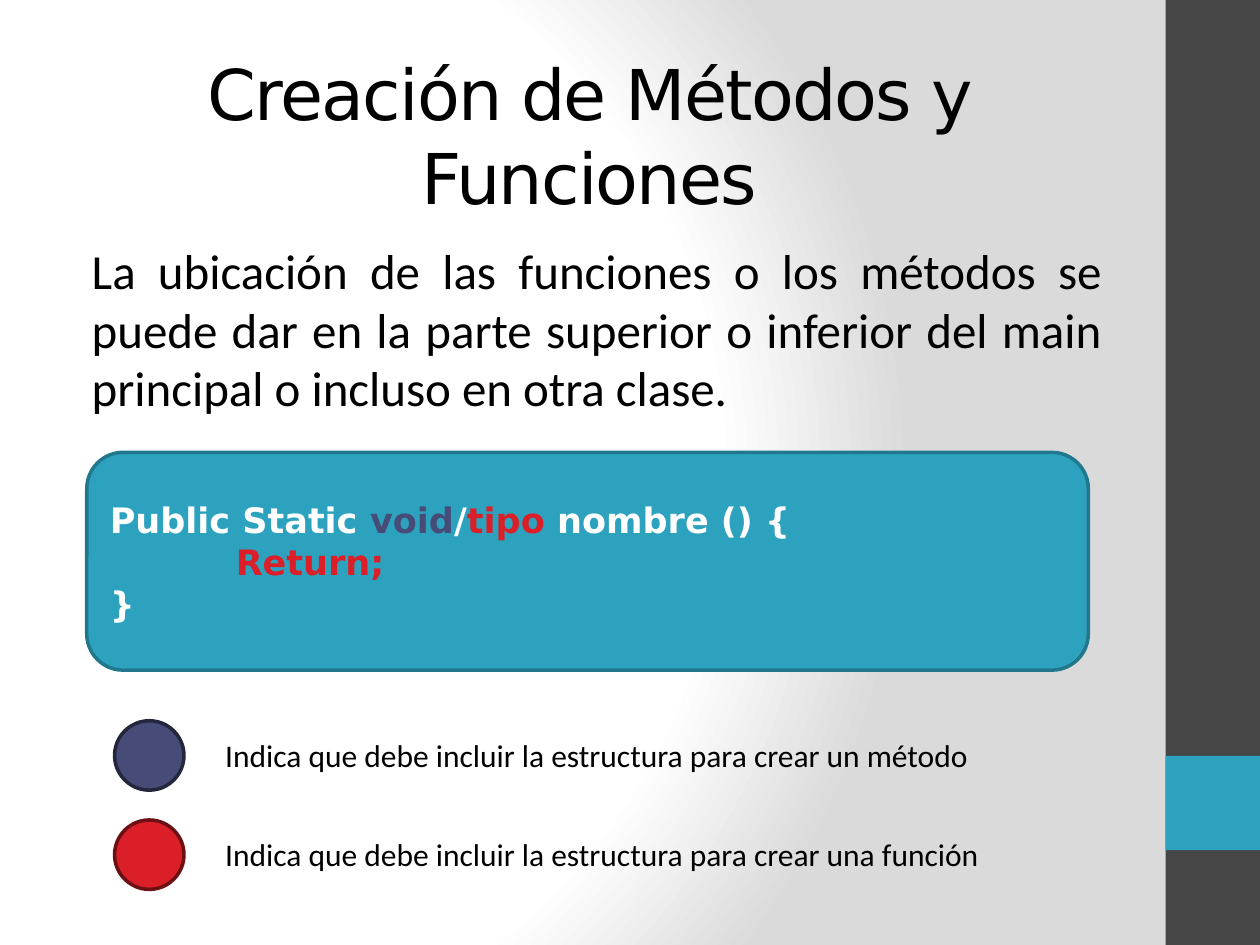
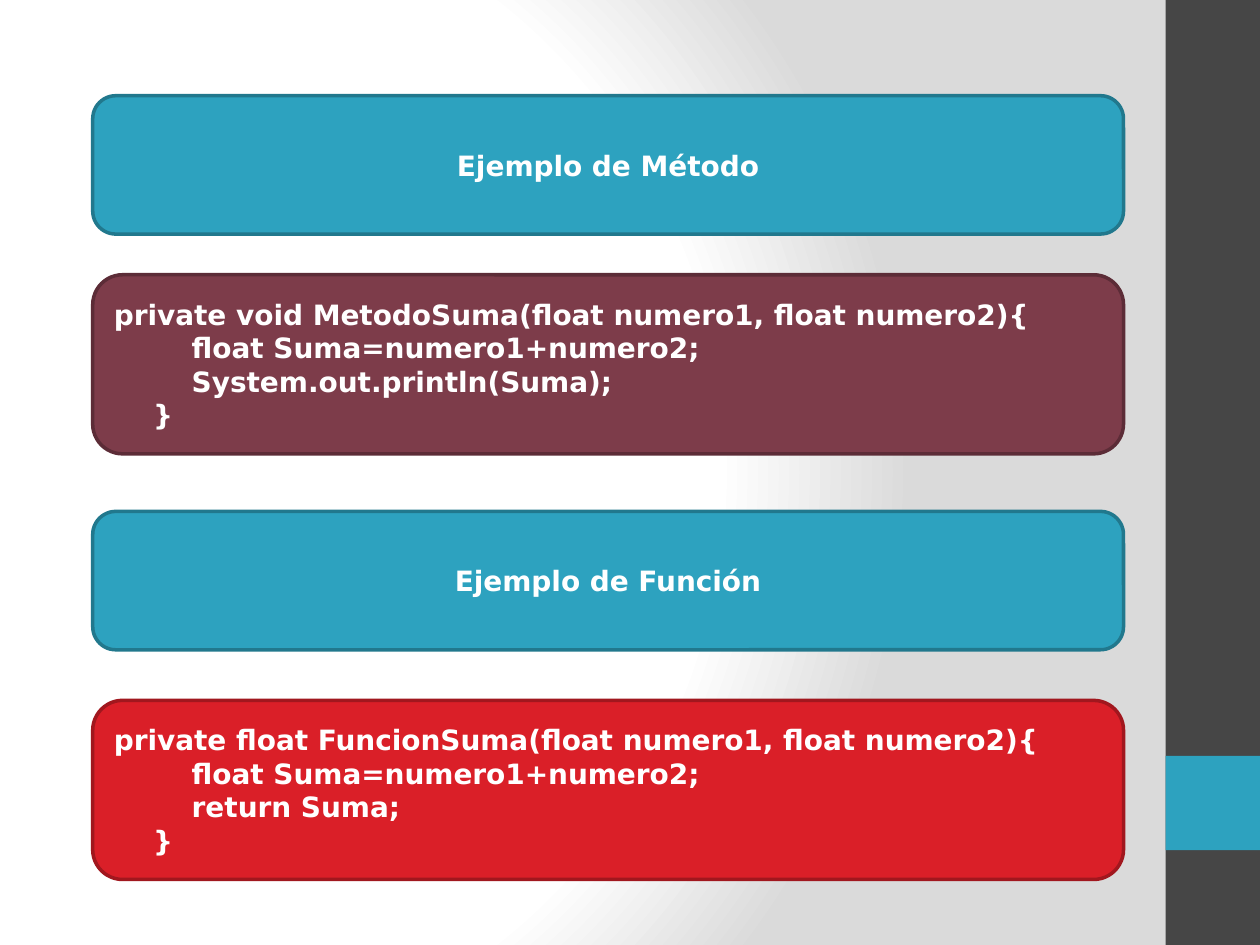
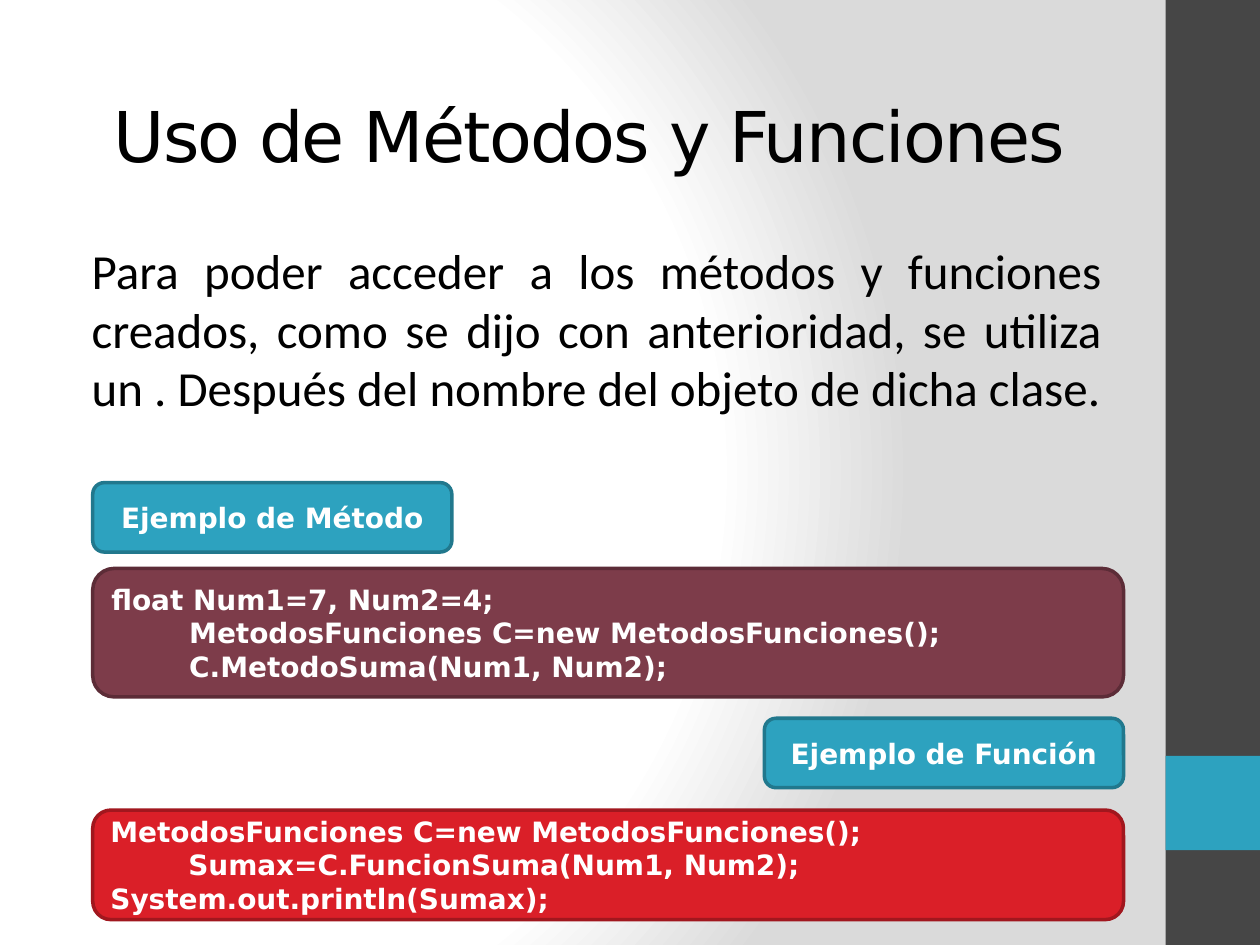
from lxml.etree import SubElement
from pptx import Presentation
from pptx.dml.color import RGBColor
from pptx.enum.shapes import MSO_SHAPE as Shape
from pptx.enum.text import MSO_ANCHOR as Anchor, PP_ALIGN as Align
from pptx.oxml.ns import qn
from pptx.util import Cm, Pt

WHITE = RGBColor(0xFF, 0xFF, 0xFF)
BLACK = RGBColor(0, 0, 0)
SILVER = RGBColor(0xDA, 0xDA, 0xDA)
CHARCOAL = RGBColor(0x46, 0x46, 0x46)
TEAL = RGBColor(0x2D, 0xA2, 0xBF)
TEAL_EDGE = RGBColor(0x21, 0x78, 0x8D)
INDIGO = RGBColor(0x47, 0x4B, 0x78)
INDIGO_EDGE = RGBColor(0x24, 0x26, 0x3C)
RED = RGBColor(0xDA, 0x1F, 0x28)
RED_EDGE = RGBColor(0xA1, 0x17, 0x1E)
DARK_RED = RGBColor(0x6D, 0x10, 0x14)
WINE = RGBColor(0x7D, 0x3C, 0x4A)
WINE_EDGE = RGBColor(0x5C, 0x2C, 0x37)

HEADING_FONT = "DejaVu Sans"
BODY_FONT = "Calibri"
SLIDE_WIDTH, SLIDE_HEIGHT = 25.4, 19.05
BAND = 1.9
CARD_LEFT, CARD_WIDTH = 1.87, 20.78
TAG_WIDTH, TAG_HEIGHT = 7.24, 1.4
BRACE, STATEMENT = 0.79, 1.57

CREATION = {
    "title": "Creación de Métodos y Funciones",
    "body": "La ubicación de las funciones o los métodos se puede dar en la parte "
            "superior o inferior del main principal o incluso en otra clase.",
}
USAGE = {
    "title": "Uso de Métodos y Funciones",
    "body": "Para poder acceder a los métodos y funciones creados, como se dijo con "
            "anterioridad, se utiliza un . Después del nombre del objeto de dicha clase.",
}
SYNTAX = [
    (0, [("Public Static ", WHITE), ("void", INDIGO), ("/", WHITE),
         ("tipo", RED), (" nombre () {", WHITE)]),
    (2.54, [("Return;", RED)]),
    (0, [("}", WHITE)]),
]
LEGEND = [
    ("Indica que debe incluir la estructura para crear un método", INDIGO, INDIGO_EDGE),
    ("Indica que debe incluir la estructura para crear una función", RED, DARK_RED),
]
METHOD_LABEL = "Ejemplo de Método"
FUNCTION_LABEL = "Ejemplo de Función"
DEFINITIONS = [
    (METHOD_LABEL, 1.93, WINE, WINE_EDGE, 5.54, [
        (0, "private void MetodoSuma(float numero1, float numero2){"),
        (STATEMENT, "float Suma=numero1+numero2;"),
        (STATEMENT, "System.out.println(Suma);"),
        (BRACE, "}"),
    ]),
    (FUNCTION_LABEL, 10.31, RED, RED_EDGE, 14.12, [
        (0, "private float FuncionSuma(float numero1, float numero2){"),
        (STATEMENT, "float Suma=numero1+numero2;"),
        (STATEMENT, "return Suma;"),
        (BRACE, "}"),
    ]),
]
CALLS = [
    (METHOD_LABEL, CARD_LEFT, 9.73, WINE, WINE_EDGE, 11.46, 2.59, [
        (0, "float Num1=7, Num2=4;"),
        (STATEMENT, "MetodosFunciones C=new MetodosFunciones();"),
        (STATEMENT, "C.MetodoSuma(Num1, Num2);"),
    ]),
    (FUNCTION_LABEL, CARD_LEFT + CARD_WIDTH - TAG_WIDTH, 14.48, RED, RED_EDGE, 16.33, 2.21, [
        (0, "MetodosFunciones C=new MetodosFunciones();"),
        (STATEMENT, "Sumax=C.FuncionSuma(Num1, Num2);"),
        (0, "System.out.println(Sumax);"),
    ]),
]


def paint_background(master):
    master.background.fill.gradient()
    gradient = master.element.find(".//" + qn("a:gradFill"))
    for child in list(gradient):
        gradient.remove(child)
    stops = SubElement(gradient, qn("a:gsLst"))
    for position, color in ((0, WHITE), (75, WHITE), (100, SILVER)):
        stop = SubElement(stops, qn("a:gs"), pos=str(position * 1000))
        SubElement(stop, qn("a:srgbClr"), val=str(color))
    circle = SubElement(gradient, qn("a:path"), path="circle")
    SubElement(circle, qn("a:fillToRect"), l="20000", t="50000", r="100000", b="50000")


def write(shape, lines, size, font=HEADING_FONT, bold=False, align=Align.LEFT):
    frame = shape.text_frame
    frame.word_wrap = True
    for number, (indent, runs) in enumerate(lines):
        paragraph = frame.add_paragraph() if number else frame.paragraphs[0]
        paragraph.alignment = align
        properties = paragraph._p.get_or_add_pPr()
        properties.set("marL", str(Cm(indent)))
        properties.set("indent", "0")
        for text, color in runs:
            run = paragraph.add_run()
            run.text = text
            run.font.size = Pt(size)
            run.font.name = font
            run.font.bold = bold
            run.font.color.rgb = color


def add_figure(slide, kind, left, top, width, height, fill, edge=None):
    figure = slide.shapes.add_shape(kind, Cm(left), Cm(top), Cm(width), Cm(height))
    figure.shadow.inherit = False
    figure.fill.solid()
    figure.fill.fore_color.rgb = fill
    if edge is None:
        figure.line.fill.background()
    else:
        figure.line.color.rgb = edge
        figure.line.width = Pt(2)
    return figure


def add_label(slide, text, left, top, width, height):
    label = add_figure(slide, Shape.ROUNDED_RECTANGLE, left, top, width, height, TEAL, TEAL_EDGE)
    write(label, [(0, [(text, WHITE)])], 16, bold=True, align=Align.CENTER)


def add_code(slide, code, top, height, fill, edge):
    card = add_figure(slide, Shape.ROUNDED_RECTANGLE, CARD_LEFT, top, CARD_WIDTH, height, fill, edge)
    write(card, [(indent, [(text, WHITE)]) for indent, text in code], 16, bold=True)


def add_text(slide, left, top, width, height):
    return slide.shapes.add_textbox(Cm(left), Cm(top), Cm(width), Cm(height))


def add_slide(deck, content=None):
    slide = deck.slides.add_slide(deck.slide_layouts[6])
    band_left = SLIDE_WIDTH - BAND
    add_figure(slide, Shape.RECTANGLE, band_left, 0, BAND, SLIDE_HEIGHT, CHARCOAL)
    add_figure(slide, Shape.RECTANGLE, band_left, 15.24, BAND, BAND, TEAL)
    if content:
        title = add_text(slide, 1.3, 1.12, 21.16, 3.18)
        title.text_frame.vertical_anchor = Anchor.MIDDLE
        write(title, [(0, [(content["title"], BLACK)])], 40, align=Align.CENTER)
        for run in title.text_frame.paragraphs[0].runs:
            run.font._element.set("spc", "-100")
        body = add_text(slide, 1.3, 4.72, 21.16, 2.49)
        write(body, [(0.3, [(content["body"], BLACK)])], 28, BODY_FONT, align=Align.JUSTIFY)
    return slide


deck = Presentation()
deck.slide_width, deck.slide_height = Cm(SLIDE_WIDTH), Cm(SLIDE_HEIGHT)
paint_background(deck.slide_master)

creation = add_slide(deck, CREATION)
syntax = add_figure(creation, Shape.ROUNDED_RECTANGLE, 1.75, 9.12, 20.19, 4.39, TEAL, TEAL_EDGE)
write(syntax, SYNTAX, 20, bold=True)
for row, (meaning, fill, edge) in enumerate(LEGEND):
    top = 14.53 + row * 2
    add_figure(creation, Shape.OVAL, 2.31, top, 1.4, 1.4, fill, edge)
    note = add_text(creation, 4.29, top + 0.18, 17.65, 1.02)
    write(note, [(0, [(meaning, BLACK)])], 18, BODY_FONT)

definitions = add_slide(deck)
for label, label_top, fill, edge, code_top, code in DEFINITIONS:
    add_label(definitions, label, CARD_LEFT, label_top, CARD_WIDTH, 2.79)
    add_code(definitions, code, code_top, 3.61, fill, edge)

usage = add_slide(deck, USAGE)
for label, label_left, label_top, fill, edge, code_top, code_height, code in CALLS:
    add_label(usage, label, label_left, label_top, TAG_WIDTH, TAG_HEIGHT)
    add_code(usage, code, code_top, code_height, fill, edge)

deck.save("out.pptx")
